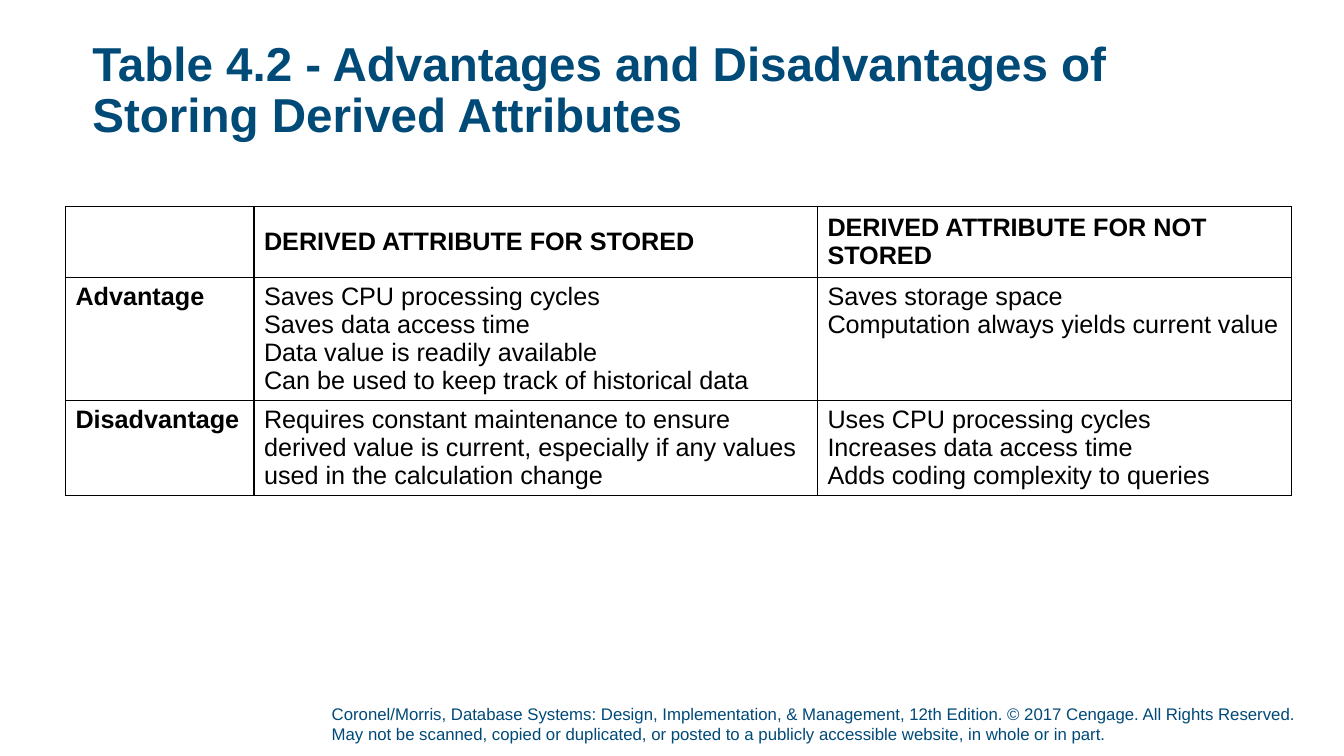
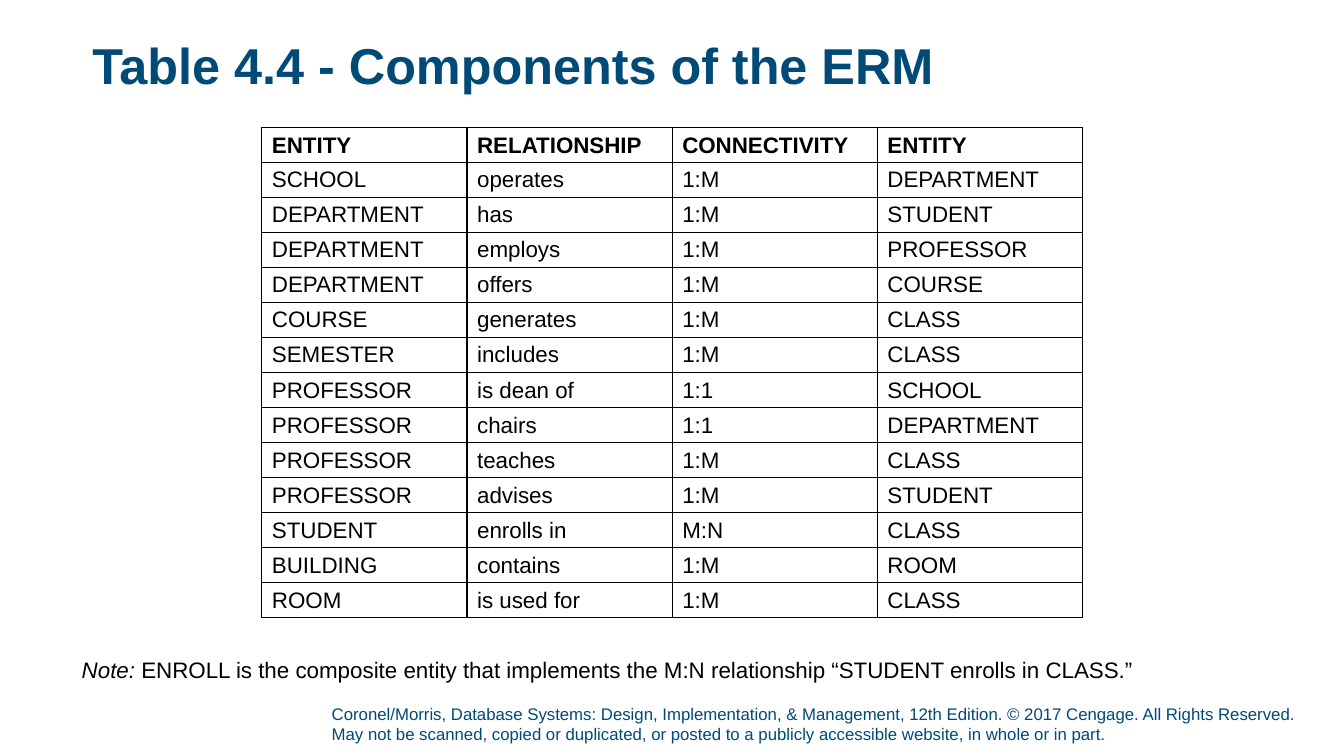
from lxml import etree
from pptx import Presentation
from pptx.dml.color import RGBColor
from pptx.enum import text as text_enum
from pptx.oxml import ns
from pptx.util import Cm, Pt

# Shared look
BLUE = RGBColor(0x00, 0x4A, 0x78)
BLACK = RGBColor(0x00, 0x00, 0x00)
WHITE = RGBColor(0xFF, 0xFF, 0xFF)
FONT = "Arial"
TITLE_ONLY, TITLE_AND_BODY = 5, 1
ANCHOR = text_enum.MSO_ANCHOR
FOOTER = (
    "Coronel/Morris, Database Systems: Design, Implementation, & Management, "
    "12th Edition. © 2017 Cengage. All Rights Reserved. May not be scanned, "
    "copied or duplicated, or posted to a publicly accessible website, "
    "in whole or in part."
)

# Table contents: a cell's lines are its paragraphs
DERIVED_ROWS = [
    ["", "DERIVED ATTRIBUTE FOR STORED", "DERIVED ATTRIBUTE FOR NOT STORED"],
    ["Advantage",
     "Saves CPU processing cycles\nSaves data access time\n"
     "Data value is readily available\n"
     "Can be used to keep track of historical data",
     "Saves storage space\nComputation always yields current value"],
    ["Disadvantage",
     "Requires constant maintenance to ensure\n"
     "derived value is current, especially if any values\n"
     "used in the calculation change",
     "Uses CPU processing cycles\nIncreases data access time\n"
     "Adds coding complexity to queries"],
]
ERM_ROWS = [
    ["ENTITY", "RELATIONSHIP", "CONNECTIVITY", "ENTITY"],
    ["SCHOOL", "operates", "1:M", "DEPARTMENT"],
    ["DEPARTMENT", "has", "1:M", "STUDENT"],
    ["DEPARTMENT", "employs", "1:M", "PROFESSOR"],
    ["DEPARTMENT", "offers", "1:M", "COURSE"],
    ["COURSE", "generates", "1:M", "CLASS"],
    ["SEMESTER", "includes", "1:M", "CLASS"],
    ["PROFESSOR", "is dean of", "1:1", "SCHOOL"],
    ["PROFESSOR", "chairs", "1:1", "DEPARTMENT"],
    ["PROFESSOR", "teaches", "1:M", "CLASS"],
    ["PROFESSOR", "advises", "1:M", "STUDENT"],
    ["STUDENT", "enrolls in", "M:N", "CLASS"],
    ["BUILDING", "contains", "1:M", "ROOM"],
    ["ROOM", "is used for", "1:M", "CLASS"],
]


def set_values(target, values):
    for name, value in values.items():
        setattr(target, name, value)


def format_font(font, size, color=BLACK, bold=False, italic=False):
    set_values(font, {"name": FONT, "size": Pt(size), "bold": bold, "italic": italic})
    font.color.rgb = color


def place(shape, left, top, width, height):
    set_values(shape, {"left": Cm(left), "top": Cm(top),
                       "width": Cm(width), "height": Cm(height)})


def format_frame(frame, anchor=ANCHOR.TOP, bottom=0):
    set_values(frame, {
        "margin_left": 0, "margin_top": 0, "margin_right": 0,
        "margin_bottom": Cm(bottom), "vertical_anchor": anchor,
        "word_wrap": True, "auto_size": text_enum.MSO_AUTO_SIZE.NONE,
    })


def format_paragraph(paragraph, line_spacing=1.0):
    set_values(paragraph, {"alignment": text_enum.PP_ALIGN.LEFT,
                           "line_spacing": line_spacing, "space_before": Pt(0)})


def set_title(slide, title_text, size, height):
    title = slide.shapes.title
    place(title, 2.33, 1.02, 29.21, height)
    format_frame(title.text_frame)
    paragraph = title.text_frame.paragraphs[0]
    format_paragraph(paragraph, 0.9)
    run = paragraph.add_run()
    run.text = title_text
    format_font(run.font, size, BLUE, bold=True)


def add_footer(slide):
    box = slide.shapes.add_textbox(Cm(8.36), Cm(17.73), Cm(24.87), Cm(1.14))
    format_frame(box.text_frame, ANCHOR.BOTTOM, 0.13)
    paragraph = box.text_frame.paragraphs[0]
    format_paragraph(paragraph)
    run = paragraph.add_run()
    run.text = FOOTER
    format_font(run.font, 12, BLUE)


def add_borders(cell):
    properties = cell._tc.get_or_add_tcPr()
    for index, side in enumerate(("lnL", "lnR", "lnT", "lnB")):
        line = etree.Element(ns.qn(f"a:{side}"), w=str(Pt(1)))
        fill = etree.SubElement(line, ns.qn("a:solidFill"))
        etree.SubElement(fill, ns.qn("a:srgbClr"), val=str(BLACK))
        properties.insert(index, line)


def add_grid(slide, rows, left, top, widths, heights, size, bold_first_column=False):
    table = slide.shapes.add_table(
        len(rows), len(widths), Cm(left), Cm(top),
        Cm(sum(widths)), Cm(sum(heights))).table
    set_values(table, {"first_row": False, "horz_banding": False})
    for column, width in zip(table.columns, widths):
        column.width = Cm(width)
    for row_index, (row, height) in enumerate(zip(rows, heights)):
        table.rows[row_index].height = Cm(height)
        for column_index, cell_text in enumerate(row):
            cell = table.cell(row_index, column_index)
            cell.text = cell_text
            header = row_index == 0
            cell.vertical_anchor = ANCHOR.MIDDLE if header else ANCHOR.TOP
            cell.fill.solid()
            cell.fill.fore_color.rgb = WHITE
            add_borders(cell)
            bold = header or (bold_first_column and column_index == 0)
            for paragraph in cell.text_frame.paragraphs:
                format_font(paragraph.font, size, bold=bold)


def set_note(slide, label, note_text):
    body = slide.placeholders[1]
    place(body, 2.06, 16.61, 29.77, 0.71)
    format_frame(body.text_frame)
    paragraph = body.text_frame.paragraphs[0]
    format_paragraph(paragraph, 0.9)
    # No bullet and no hanging indent
    properties = paragraph._p.get_or_add_pPr()
    set_indent = {"marL": "0", "indent": "0"}
    properties.attrib.update(set_indent)
    etree.SubElement(properties, ns.qn("a:buNone"))
    for run_text, italic in ((label, True), (note_text, False)):
        run = paragraph.add_run()
        run.text = run_text
        format_font(run.font, 16, italic=italic)


def add_slide(presentation, layout, title_text, title_size, title_height):
    slide = presentation.slides.add_slide(presentation.slide_layouts[layout])
    add_footer(slide)
    set_title(slide, title_text, title_size, title_height)
    return slide


def main():
    presentation = Presentation()
    set_values(presentation, {"slide_width": Cm(33.87), "slide_height": Cm(19.05)})

    # Stored against computed attributes
    slide = add_slide(
        presentation, TITLE_ONLY,
        "Table 4.2 - Advantages and Disadvantages of Storing Derived Attributes",
        34, 2.72)
    add_grid(slide, DERIVED_ROWS, 1.65, 5.21, [4.75, 14.2, 11.94],
             [1.78, 3.1, 2.39], 18, bold_first_column=True)

    # Components of the model
    slide = add_slide(presentation, TITLE_AND_BODY,
                      "Table 4.4 - Components of the ERM", 36, 1.88)
    add_grid(slide, ERM_ROWS, 6.6, 3.22, [5.17] * 4, [0.88] * len(ERM_ROWS), 16)
    set_note(slide, "Note: ",
             "ENROLL is the composite entity that implements the M:N "
             "relationship “STUDENT enrolls in CLASS.”")

    presentation.save("out.pptx")


if __name__ == "__main__":
    main()
